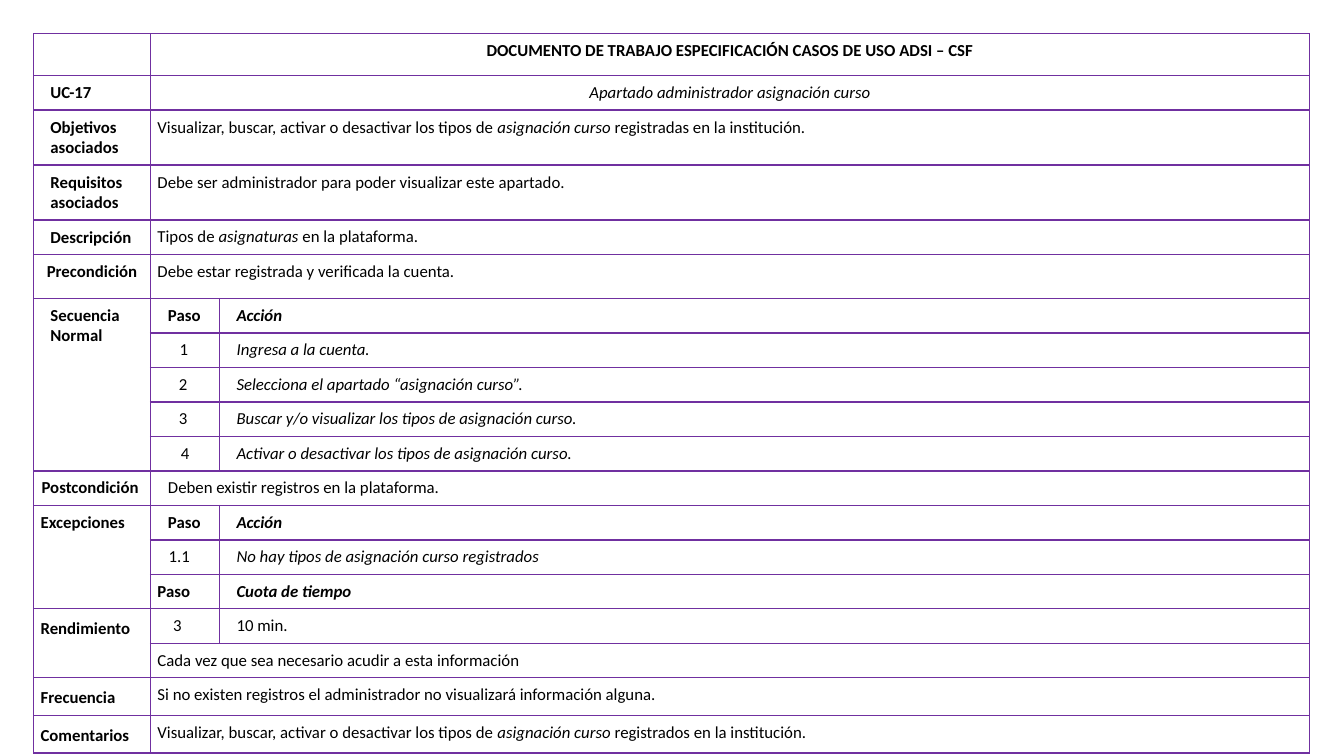
from pptx import Presentation
from pptx.dml.color import RGBColor
from pptx.enum import text
from pptx.oxml import parse_xml
from pptx.oxml.ns import nsdecls
from pptx.util import Pt

# Content: (first column, second column, third column); None continues a merged cell
# Each cell is (text, style); *stars* mark italic words
ROWS = [
    (("", "plain"), ("DOCUMENTO DE TRABAJO ESPECIFICACIÓN CASOS DE USO ADSI – CSF", "title"), None),
    (("UC-17", "label"), ("*Apartado administrador asignación curso*", "centre"), None),
    (("Objetivos\nasociados", "label"),
     ("Visualizar, buscar, activar o desactivar los tipos de *asignación curso *"
      "registradas en la institución.", "plain"), None),
    (("Requisitos\nasociados", "label"),
     ("Debe ser administrador para poder visualizar este apartado.", "plain"), None),
    (("Descripción", "label"), ("Tipos de *asignaturas *en la plataforma.", "tight"), None),
    (("Precondición", "title"), ("Debe estar registrada y verificada la cuenta.", "tight"), None),
    (("Secuencia\nNormal", "label"), ("Paso ", "step head"), ("*Acción*", "label")),
    (None, ("1 ", "step"), ("*Ingresa a la cuenta.*", "action")),
    (None, ("2 ", "centre"), ("*Selecciona el apartado “asignación curso”.*", "action")),
    (None, ("3 ", "centre"), ("*Buscar y/o visualizar los tipos de asignación curso.*", "action")),
    (None, ("4", "centre"), ("*Activar o desactivar los tipos de asignación curso.*", "action")),
    (("Postcondición ", "title"), ("Deben existir registros en la plataforma.", "tight action"), None),
    (("Excepciones", "bold"), ("Paso ", "step head"), ("*Acción*", "label")),
    (None, (" 1.1", "centre left"), ("*No hay tipos de asignación curso registrados*", "action")),
    (None, ("Paso", "bold"), ("*Cuota de tiempo*", "label")),
    (("Rendimiento", "loose"), ("3", "centre left"), ("10 min.", "action")),
    (None, ("Cada vez que sea necesario acudir a esta información", "plain"), None),
    (("Frecuencia", "loose"),
     ("Si no existen registros el administrador no visualizará información alguna.", "plain"), None),
    (("Comentarios", "loose"),
     ("Visualizar, buscar, activar o desactivar los tipos de *asignación curso *"
      "registrados en la institución.", "plain"), None),
]

# Style: alignment, left indent, right indent, line spacing, bold
LEFT, CENTRE, RIGHT = text.PP_ALIGN.LEFT, text.PP_ALIGN.CENTER, text.PP_ALIGN.RIGHT
STYLES = {
    "plain": (LEFT, 0, 0, 1, False),
    "bold": (LEFT, 0, 0, 1, True),
    "label": (LEFT, 7, 0, 1, True),
    "action": (LEFT, 7, 0, 1, False),
    "tight": (LEFT, 0, 0, 0.95, False),
    "tight action": (LEFT, 7.5, 0, 0.95, False),
    "loose": (LEFT, 0, 0, 1.15, True),
    "title": (CENTRE, 0, 0, 1, True),
    "centre": (CENTRE, 0, 0, 1, False),
    "centre left": (CENTRE, 0, 11, 1, False),
    "step head": (RIGHT, 0, 6, 1, True),
    "step": (RIGHT, 0, 15, 1, False),
}
COLUMN_WIDTHS = [83.5, 49.5, 778.5]
ROW_HEIGHT = 24.6
SPECIAL_HEIGHTS = {0: 30, 2: 39.3, 3: 39.3, 5: 31.4, 17: 26.6, 18: 26.8}
TABLE_LEFT = TABLE_TOP = 24
INSET = 5
BORDER, INK = "7030A0", "000000"


def colour(value):
    return RGBColor.from_string(value)


def write_cell(cell, content, style):
    alignment, indent, right_indent, spacing, bold = STYLES[style]
    frame = cell.text_frame
    frame.text = content.replace("*", "")
    for paragraph, line in zip(frame.paragraphs, content.split("\n")):
        properties = paragraph._p.get_or_add_pPr()
        properties.set("marL", str(Pt(indent)))
        properties.set("marR", str(Pt(right_indent)))
        properties.set("indent", "0")
        paragraph.alignment = alignment
        paragraph.line_spacing = spacing
        paragraph.font.size = Pt(12)
        if "*" in line:
            paragraph.clear()
            for position, part in enumerate(line.split("*")):
                if part:
                    run = paragraph.add_run()
                    run.text = part
                    run.font.italic = position % 2 == 1
        for run in paragraph.runs:
            run.font.name = "Calibri"
            run.font.size = Pt(12)
            run.font.bold = bold
            run.font.color.rgb = colour(INK)


def frame_cell(cell):
    cell.margin_left = cell.margin_right = Pt(INSET)
    cell.margin_top = cell.margin_bottom = Pt(INSET)
    cell.fill.background()
    properties = cell._tc.get_or_add_tcPr()
    for position, side in enumerate("LRTB"):
        properties.insert(position, parse_xml(
            f'<a:ln{side} {nsdecls("a")} w="{Pt(1)}"><a:solidFill>'
            f'<a:srgbClr val="{BORDER}"/></a:solidFill></a:ln{side}>'))


presentation = Presentation()
presentation.slide_width, presentation.slide_height = Pt(960), Pt(540)
slide = presentation.slides.add_slide(presentation.slide_layouts[6])

# Table grid
heights = [SPECIAL_HEIGHTS.get(row, ROW_HEIGHT) for row in range(len(ROWS))]
table = slide.shapes.add_table(
    len(ROWS), len(COLUMN_WIDTHS), Pt(TABLE_LEFT), Pt(TABLE_TOP),
    Pt(sum(COLUMN_WIDTHS)), Pt(sum(heights))).table
table.first_row = table.horz_banding = False
for column, width in zip(table.columns, COLUMN_WIDTHS):
    column.width = Pt(width)
for row, height in zip(table.rows, heights):
    row.height = Pt(height)

# Cell look and text
for row, cells in enumerate(ROWS):
    for column, entry in enumerate(cells):
        cell = table.cell(row, column)
        frame_cell(cell)
        write_cell(cell, *(entry or ("", "plain")))

# Merges: a missing third column widens the second, a missing label extends the one above
label_rows = [row for row, cells in enumerate(ROWS) if cells[0]]
for start, end in zip(label_rows, label_rows[1:] + [len(ROWS)]):
    if end - start > 1:
        table.cell(start, 0).merge(table.cell(end - 1, 0))
for row, cells in enumerate(ROWS):
    if cells[2] is None:
        table.cell(row, 1).merge(table.cell(row, 2))

presentation.save("out.pptx")
